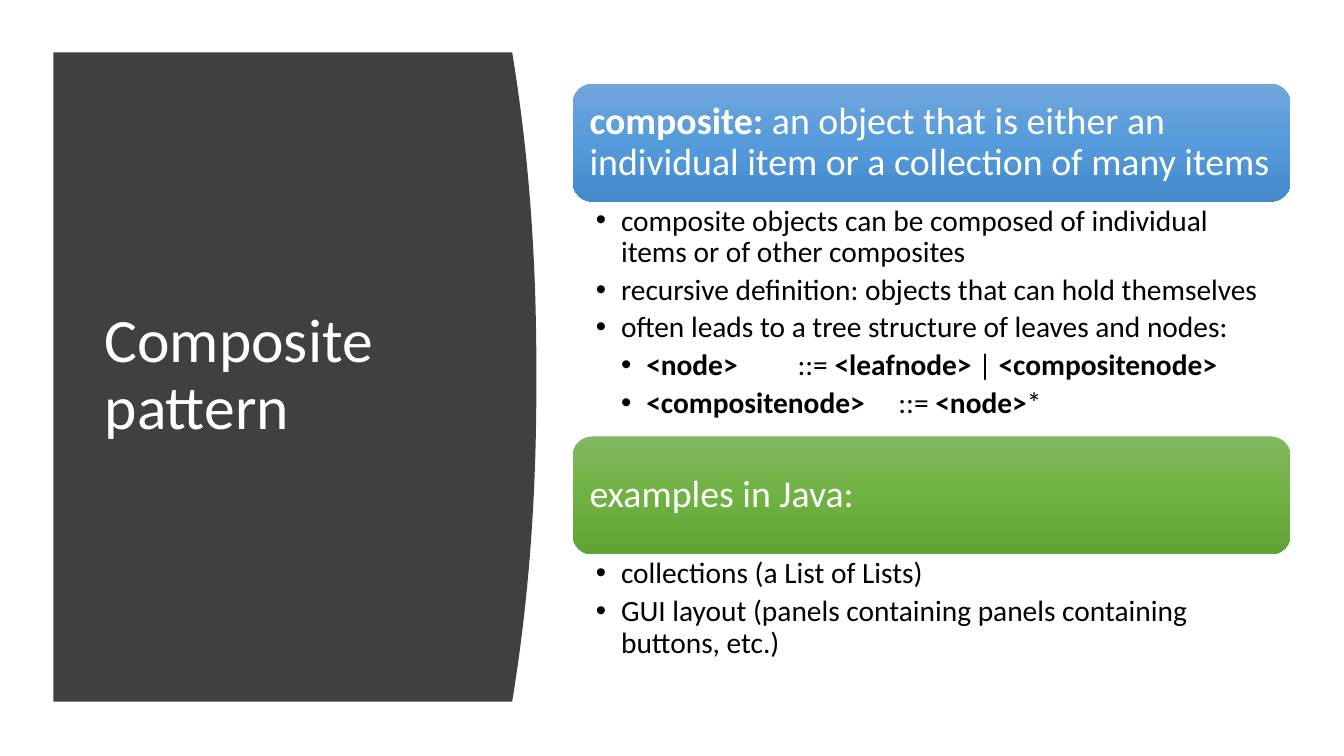
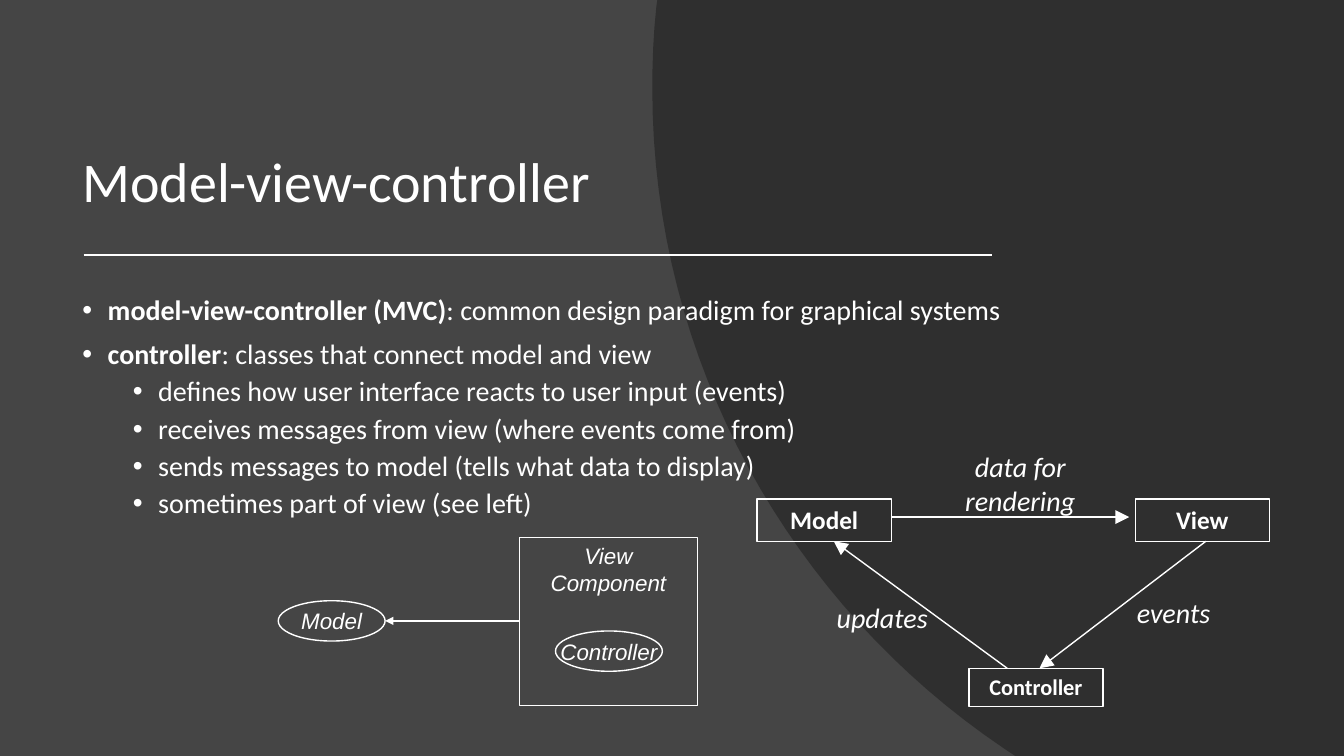
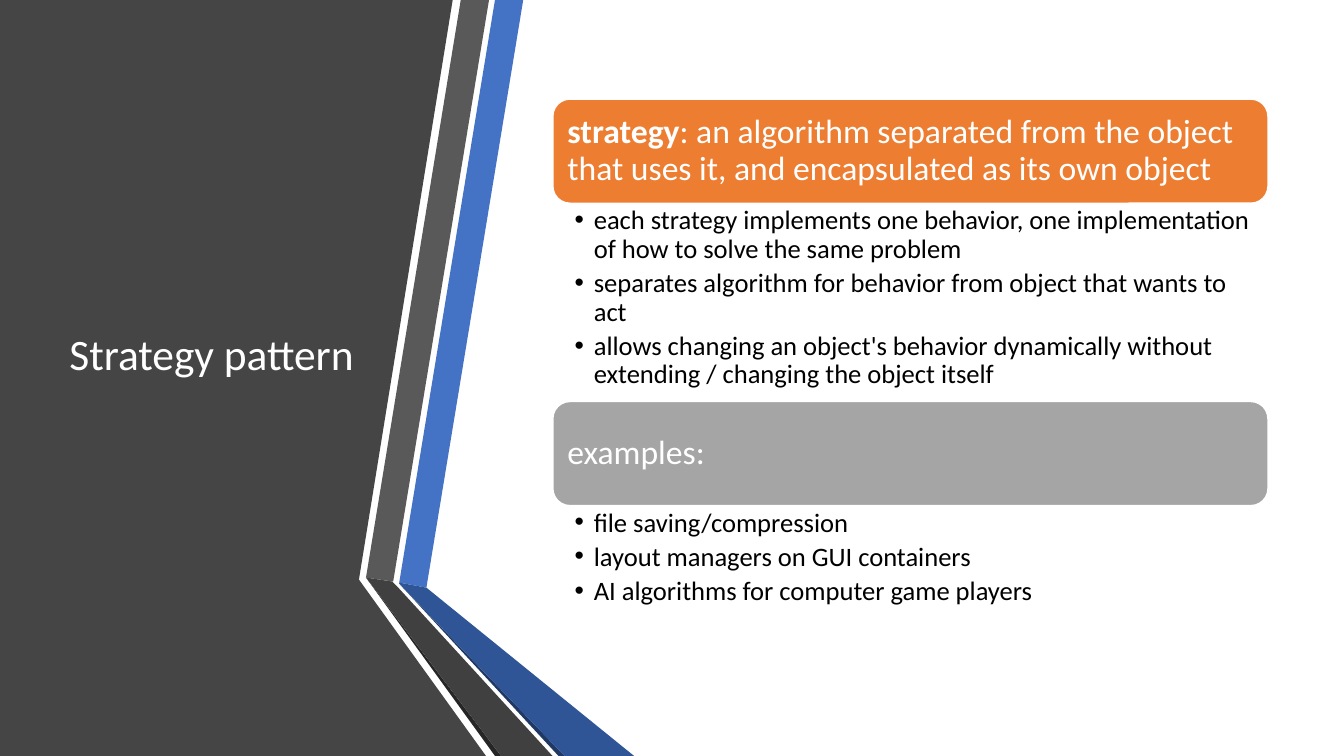
from copy import deepcopy

from lxml import etree
from pptx import Presentation
from pptx.dml.color import RGBColor
from pptx.enum import shapes, text
from pptx.oxml import ns
from pptx.util import Inches, Pt

WHITE = RGBColor(0xFF, 0xFF, 0xFF)
BLACK = RGBColor(0, 0, 0)
CHARCOAL = RGBColor(0x45, 0x45, 0x45)
DARK_GRAY = RGBColor(0x40, 0x40, 0x40)
MID_GRAY = RGBColor(0x59, 0x59, 0x59)
NEAR_BLACK = RGBColor(0x26, 0x26, 0x26)
LIGHT_GRAY = RGBColor(0xA5, 0xA5, 0xA5)
ORANGE = RGBColor(0xED, 0x7D, 0x31)
BLUE = RGBColor(0x44, 0x72, 0xC4)
DEEP_BLUE = RGBColor(0x2F, 0x55, 0x97)
NAVY = RGBColor(0x20, 0x38, 0x64)
BLUE_STOPS = [RGBColor(0x71, 0xA6, 0xDB), RGBColor(0x55, 0x9B, 0xDB), RGBColor(0x44, 0x8A, 0xCA)]
GREEN_STOPS = [RGBColor(0x81, 0xB8, 0x61), RGBColor(0x6F, 0xB2, 0x42), RGBColor(0x62, 0xA3, 0x36)]

SANS = "Calibri"
DIAGRAM_FONT = "Arial"
LEFT, CENTER = text.PP_ALIGN.LEFT, text.PP_ALIGN.CENTER
TOP, MIDDLE, BOTTOM = text.MSO_ANCHOR.TOP, text.MSO_ANCHOR.MIDDLE, text.MSO_ANCHOR.BOTTOM
RECTANGLE = shapes.MSO_SHAPE.RECTANGLE
ELLIPSE = shapes.MSO_SHAPE.OVAL
ROUNDED = shapes.MSO_SHAPE.ROUNDED_RECTANGLE

COMPOSITE = {
    "left": 5.68, "top": 0.83, "width": 7.12, "header_height": 1.17,
    "header_size": 27, "header_inset": 0.11, "body_size": 21, "indent": 0.25,
    "body_insets": (0.23, 0.04, 0.21, 0.04), "outline": None,
    "sections": [
        (BLUE_STOPS,
         [("composite:", True), (" an object that is either an individual item or a collection of many items", False)],
         2.33,
         [(1, [("composite objects can be composed of individual items or of other composites", False)]),
          (1, [("recursive definition: objects that can hold themselves", False)]),
          (1, [("often leads to a tree structure of leaves and nodes:", False)]),
          (2, [("<node>", True), ("\t::= ", False), ("<leafnode>", True), (" | ", False), ("<compositenode>", True)]),
          (2, [("<compositenode>", True), ("\t::= ", False), ("<node>", True), ("*", False)])]),
        (GREEN_STOPS,
         [("examples in Java:", False)],
         1.13,
         [(1, [("collections (a List of Lists)", False)]),
          (1, [("GUI layout (panels containing panels containing buttons, etc.)", False)])]),
    ],
}

STRATEGY = {
    "left": 5.48, "top": 0.98, "width": 7.1, "header_height": 1.04,
    "header_size": 24, "header_inset": 0.1, "body_size": 19, "indent": 0.19,
    "body_insets": (0.22, 0.03, 0.17, 0.03), "outline": 1.5,
    "sections": [
        (ORANGE,
         [("strategy", True),
          (": an algorithm separated from the object that uses it, and encapsulated as its own object", False)],
         1.96,
         [(1, [("each strategy implements one behavior, one implementation of how to solve the same problem", False)]),
          (1, [("separates algorithm for behavior from object that wants to act", False)]),
          (1, [("allows changing an object's behavior dynamically without extending / changing the object itself",
                False)])]),
        (LIGHT_GRAY,
         [("examples:", False)],
         1.09,
         [(1, [("file saving/compression", False)]),
          (1, [("layout managers on GUI containers", False)]),
          (1, [("AI algorithms for computer game players", False)])]),
    ],
}

MVC_POINTS = [
    (0, [("model-view-controller (MVC)", True), (": common design paradigm for graphical systems", False)]),
    (0, [("controller", True), (": classes that connect model and view", False)]),
    (1, [("defines how user interface reacts to user input (events)", False)]),
    (1, [("receives messages from view (where events come from)", False)]),
    (1, [("sends messages to model (tells what data to display)", False)]),
    (1, [("sometimes part of view (see left)", False)]),
]
MVC_BOXES = [
    ("Model", 18, (7.51, 4.95, 1.33, 0.42)),
    ("Controller", 16, (9.61, 6.63, 1.33, 0.38)),
    ("View", 18, (11.26, 4.95, 1.33, 0.42)),
]
MVC_ARROWS = [
    ((8.84, 5.13), (11.2, 5.13), "lg"),
    ((11.96, 5.37), (10.31, 6.63), "lg"),
    ((9.99, 6.63), (8.27, 5.37), "lg"),
    ((5.15, 6.16), (3.82, 6.16), "med"),
]
MVC_LABELS = [
    ("data for rendering", (9.42, 4.41, 1.4, 0.77)),
    ("events", (10.94, 5.86, 1.4, 0.43)),
    ("updates", (8.02, 5.91, 1.46, 0.43)),
]
COMPONENT_SHAPES = [
    (ELLIPSE, ["Model"], MIDDLE, (2.76, 5.96, 1.06, 0.4)),
    (RECTANGLE, ["View", "Component"], TOP, (5.15, 5.33, 1.77, 1.67)),
    (ELLIPSE, ["Controller"], MIDDLE, (5.51, 6.26, 1.06, 0.4)),
]

RIBBONS = [
    (CHARCOAL, [(0, 0), (4.49, 0), (3.56, 5.75), (4.82, 7.5), (0, 7.5)]),
    (BLUE, [(3.96, 5.78), (4.23, 5.83), (5.19, 0), (4.91, 0)]),
    (MID_GRAY, [(4.85, 0), (4.57, 0), (3.63, 5.73), (3.9, 5.77)]),
    (NEAR_BLACK, [(3.63, 5.73), (4.91, 7.5), (4.97, 7.5)]),
    (NAVY, [(3.96, 5.79), (5.54, 7.5), (5.6, 7.5)]),
    (DEEP_BLUE, [(3.96, 5.79), (5.6, 7.5), (6.29, 7.5), (4.23, 5.83), (3.96, 5.78)]),
    (DARK_GRAY, [(5.48, 7.5), (3.95, 5.83), (3.89, 5.77), (3.63, 5.73), (4.97, 7.5)]),
]


def add_slide(presentation, background):
    slide = presentation.slides.add_slide(presentation.slide_layouts[6])
    slide.background.fill.solid()
    slide.background.fill.fore_color.rgb = background
    return slide


def add_child(parent, tag, **attributes):
    return etree.SubElement(parent, ns.qn(tag), attributes)


def set_bullet(paragraph, margin, hanging):
    properties = paragraph._p.get_or_add_pPr()
    properties.set("marL", str(Inches(margin)))
    properties.set("indent", str(-Inches(hanging)))
    properties.set("defTabSz", str(Inches(1)))
    add_child(properties, "a:buFont", typeface="Arial")
    add_child(properties, "a:buChar", char="•")


def write_paragraph(paragraph, runs, size, color, font=SANS, italic=False, align=LEFT, spacing=None):
    paragraph.alignment = align
    paragraph.line_spacing = spacing
    for content, bold in runs:
        run = paragraph.add_run()
        run.text = content
        run.font.name = font
        run.font.size = Pt(size)
        run.font.bold = bold
        run.font.italic = italic
        run.font.color.rgb = color


def set_frame(frame, anchor=TOP, insets=(0.1, 0.05, 0.1, 0.05), wrap=True):
    frame.word_wrap = wrap
    frame.vertical_anchor = anchor
    frame.margin_left, frame.margin_top, frame.margin_right, frame.margin_bottom = map(Inches, insets)
    return frame


def next_paragraph(frame, index):
    return frame.add_paragraph() if index else frame.paragraphs[0]


def add_text_frame(slide, box, **options):
    return set_frame(slide.shapes.add_textbox(*map(Inches, box)).text_frame, **options)


def add_title(slide, title, box, size, anchor=MIDDLE):
    frame = add_text_frame(slide, box, anchor=anchor)
    write_paragraph(frame.paragraphs[0], [(title, False)], size, WHITE, spacing=0.9)


def style_shape(shape, fill=None, outline=None):
    shape.shadow.inherit = False
    if fill is None:
        shape.fill.background()
    elif isinstance(fill, list):
        shape.fill.gradient()
        shape.fill.gradient_angle = 270
        stop_list = shape.element.spPr.find(ns.qn("a:gradFill")).find(ns.qn("a:gsLst"))
        stop_list.insert(1, deepcopy(stop_list[0]))
        for index, (stop, color) in enumerate(zip(shape.fill.gradient_stops, fill)):
            stop.position = index / 2
            stop.color.rgb = color
    else:
        shape.fill.solid()
        shape.fill.fore_color.rgb = fill
    if outline:
        shape.line.color.rgb = WHITE
        shape.line.width = Pt(outline)
    else:
        shape.line.fill.background()


def add_preset(slide, preset, box, fill=None, outline=None):
    shape = slide.shapes.add_shape(preset, *map(Inches, box))
    style_shape(shape, fill, outline)
    return shape


def add_outline(slide, points, fill):
    corners = [(Inches(x), Inches(y)) for x, y in points]
    builder = slide.shapes.build_freeform(*corners[0], scale=1.0)
    builder.add_line_segments(corners[1:], close=True)
    shape = builder.convert_to_shape()
    style_shape(shape, fill)
    return shape


def add_line(slide, start, end, width, head=None):
    line = slide.shapes.add_connector(shapes.MSO_CONNECTOR.STRAIGHT, *map(Inches, start + end))
    line.line.color.rgb = WHITE
    line.line.width = Pt(width)
    if head:
        add_child(line.line._get_or_add_ln(), "a:tailEnd", type="triangle", w=head, len=head)
    add_child(line._element.spPr, "a:effectLst")


def bezier(start, first, second, end, steps=32):
    for step in range(1, steps + 1):
        t = step / steps
        weights = ((1 - t) ** 3, 3 * t * (1 - t) ** 2, 3 * t ** 2 * (1 - t), t ** 3)
        yield tuple(sum(w * p for w, p in zip(weights, axis)) for axis in zip(start, first, second, end))


def add_sections(slide, panel):
    left, width, top = panel["left"], panel["width"], panel["top"]
    for fill, heading, body_height, points in panel["sections"]:
        height = panel["header_height"]
        header = add_preset(slide, ROUNDED, (left, top, width, height), fill, panel["outline"])
        frame = set_frame(header.text_frame, MIDDLE, (panel["header_inset"],) * 4)
        write_paragraph(frame.paragraphs[0], heading, panel["header_size"], WHITE, spacing=0.9)
        body = add_text_frame(slide, (left, top + height, width, body_height), insets=panel["body_insets"])
        for index, (level, runs) in enumerate(points):
            paragraph = next_paragraph(body, index)
            paragraph.level = level
            write_paragraph(paragraph, runs, panel["body_size"], BLACK, spacing=0.9)
            paragraph.space_after = Pt(panel["body_size"] * 0.2)
            set_bullet(paragraph, panel["indent"] * level, panel["indent"])
        top += height + body_height


def build_composite(presentation):
    slide = add_slide(presentation, WHITE)
    top, bottom, edge, bulge, steps = 0.52, 6.96, 5.08, 0.24, 40
    curve = []
    for step in range(steps + 1):
        offset = 2 * step / steps - 1
        curve.append((edge + bulge * (1 - abs(offset) ** 2.2), top + (bottom - top) * step / steps))
    add_outline(slide, [(0.53, top), *curve, (0.53, bottom)], DARK_GRAY)
    add_title(slide, "Composite pattern", (0.94, 1.11, 3.74, 5.24), 44)
    add_sections(slide, COMPOSITE)


def build_mvc(presentation):
    slide = add_slide(presentation, CHARCOAL)
    arc = [(9.95, 7.42), *bezier((9.95, 7.42), (7.85, 6), (6.47, 3.6), (6.47, 0.88)),
           *bezier((6.47, 0.88), (6.47, 0.61), (6.48, 0.34), (6.51, 0.07), 4)]
    shade = add_outline(slide, [(6.52, 0), (13.33, 0), (13.33, 7.5), (10.07, 7.5), *arc], NEAR_BLACK)
    color = shade.element.spPr.find(ns.qn("a:solidFill"))[0]
    add_child(color, "a:alpha", val="70000")
    add_title(slide, "Model-view-controller", (0.72, 0.4, 9.86, 1.78), 40, BOTTOM)
    add_line(slide, (0.83, 2.53), (9.84, 2.53), 1.5)

    body = add_text_frame(slide, (0.72, 2.89, 9.86, 3.64))
    for index, (level, runs) in enumerate(MVC_POINTS):
        paragraph = next_paragraph(body, index)
        paragraph.level = level
        write_paragraph(paragraph, runs, 20, WHITE, spacing=0.9)
        paragraph.space_before = Pt(5 if level else 10)
        set_bullet(paragraph, 0.25 + 0.5 * level, 0.25)

    for name, size, box in MVC_BOXES:
        frame = set_frame(add_preset(slide, RECTANGLE, box, outline=1).text_frame)
        write_paragraph(frame.paragraphs[0], [(name, True)], size, WHITE, align=CENTER)
    for label, box in MVC_LABELS:
        frame = add_text_frame(slide, box)
        write_paragraph(frame.paragraphs[0], [(label, False)], 20, WHITE, italic=True, align=CENTER)
    for preset, lines, anchor, box in COMPONENT_SHAPES:
        frame = set_frame(add_preset(slide, preset, box, outline=1).text_frame, anchor, wrap=False)
        for index, line in enumerate(lines):
            write_paragraph(next_paragraph(frame, index), [(line, False)], 16, WHITE, DIAGRAM_FONT, True, CENTER)
    for start, end, head in MVC_ARROWS:
        add_line(slide, start, end, 1, head)


def build_strategy(presentation):
    slide = add_slide(presentation, WHITE)
    for color, points in RIBBONS:
        add_outline(slide, points, color)
    add_title(slide, "Strategy pattern", (0.59, 0.75, 3.04, 5.58), 31)
    add_sections(slide, STRATEGY)


def main():
    presentation = Presentation()
    presentation.slide_width = Inches(13.33)
    presentation.slide_height = Inches(7.5)
    build_composite(presentation)
    build_mvc(presentation)
    build_strategy(presentation)
    presentation.save("out.pptx")


if __name__ == "__main__":
    main()
